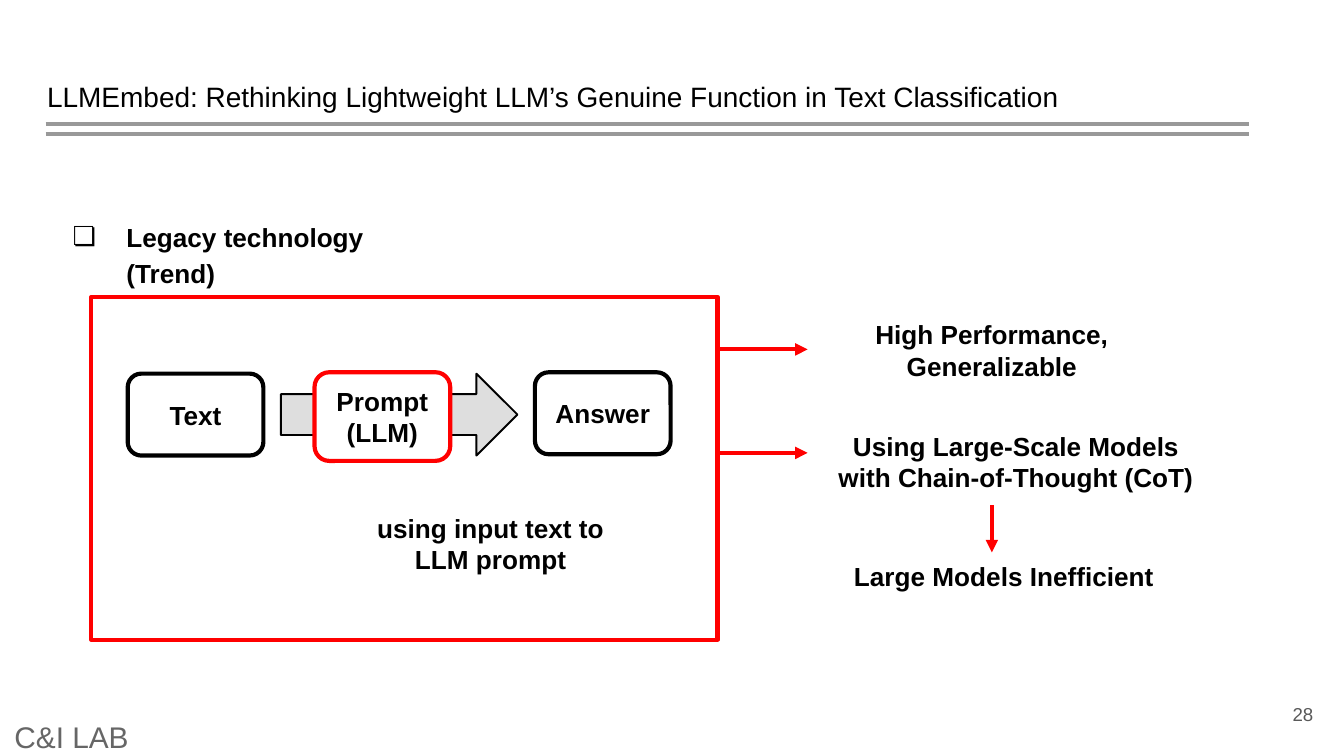
from lxml import etree
from pptx import Presentation
from pptx.dml.color import RGBColor
from pptx.enum.shapes import MSO_CONNECTOR as Connector, MSO_SHAPE as Shape
from pptx.enum.text import MSO_ANCHOR as Anchor, MSO_AUTO_SIZE as AutoSize, PP_ALIGN as Align
from pptx.oxml.ns import qn
from pptx.util import Inches, Pt

BLACK, RED, GREY = "000000", "FF0000", "999999"
RULE_WIDTH = 2.25


def color(value):
    return RGBColor.from_string(value)


def place(item, box):
    item.left, item.top, item.width, item.height = (Inches(v) for v in box)


def write(item, lines, size=14, bold=True, ink=BLACK, align=Align.CENTER,
          anchor=Anchor.MIDDLE, inset_x=0.1, inset_y=0.1):
    frame = item.text_frame
    frame.word_wrap = True
    frame.auto_size = AutoSize.NONE
    frame.vertical_anchor = anchor
    frame.margin_left = frame.margin_right = Inches(inset_x)
    frame.margin_top = frame.margin_bottom = Inches(inset_y)
    for index, line in enumerate(lines):
        para = frame.paragraphs[0] if index == 0 else frame.add_paragraph()
        para.alignment = align
        para.space_before = Pt(0)
        span = para.add_run()
        span.text = line
        span.font.name = "Arial"
        span.font.size = Pt(size)
        span.font.bold = bold
        span.font.color.rgb = color(ink)
    return frame


def add_bullet(para, symbol):
    props = para._p.get_or_add_pPr()
    props.set("marL", str(Inches(0.5)))
    props.set("indent", str(-Inches(0.4)))
    bullet_color = etree.SubElement(props, qn("a:buClr"))
    etree.SubElement(bullet_color, qn("a:srgbClr"), val=BLACK)
    etree.SubElement(props, qn("a:buFont"), typeface="Arial")
    etree.SubElement(props, qn("a:buChar"), char=symbol)


def add_block(page, kind, box, lines=(), fill=None, line=None, width=RULE_WIDTH):
    block = page.shapes.add_shape(kind, *(Inches(v) for v in box))
    block.shadow.inherit = False
    if fill:
        block.fill.solid()
        block.fill.fore_color.rgb = color(fill)
    else:
        block.fill.background()
    if line:
        block.line.color.rgb = color(line)
        block.line.width = Pt(width)
    else:
        block.line.fill.background()
    if lines:
        write(block, lines, inset_y=0.05)


def add_line(page, start, end, ink, arrow=False):
    points = (Inches(v) for v in (*start, *end))
    line = page.shapes.add_connector(Connector.STRAIGHT, *points)
    line.line.color.rgb = color(ink)
    line.line.width = Pt(RULE_WIDTH)
    if arrow:
        etree.SubElement(line.line._get_or_add_ln(), qn("a:tailEnd"), type="triangle")
    etree.SubElement(line._element.spPr, qn("a:effectLst"))


def add_label(page, box, lines, **style):
    label = page.shapes.add_textbox(*(Inches(v) for v in box))
    write(label, lines, **style)


def add_header(page, box):
    left, top, width, _ = box
    title = page.shapes.title
    place(title, box)
    write(title, ["LLMEmbed: Rethinking Lightweight LLM’s Genuine Function in Text Classification"],
          size=15, bold=False, align=Align.LEFT, anchor=Anchor.TOP)
    for offset in (0.43, 0.51):
        add_line(page, (left + 0.09, top + offset), (left + width - 0.28, top + offset), GREY)


def add_topic(page, box):
    body = page.placeholders[1]
    place(body, box)
    frame = write(body, ["Legacy technology (Trend)"], align=Align.LEFT, anchor=Anchor.TOP)
    para = frame.paragraphs[0]
    para.line_spacing = 1.15
    add_bullet(para, "❏")


def add_pipeline(page, box):
    left, top, _, _ = box
    row = top + 0.57
    step_width, step_height = 1.01, 0.61
    add_block(page, Shape.ROUNDED_RECTANGLE, (left + 0.27, row, step_width, step_height),
              ["Text"], line=BLACK)
    add_block(page, Shape.RIGHT_ARROW, (left + 1.41, row, 1.76, step_height),
              fill="DEDEDE", line=BLACK, width=1)
    add_block(page, Shape.ROUNDED_RECTANGLE, (left + 1.66, row - 0.01, step_width, 0.66),
              ["Prompt", "(LLM)"], fill="FFFFFF", line=RED)
    add_label(page, (left + 1.86, top + 1.55, 2.22, 0.57),
              ["using input text to LLM prompt"], anchor=Anchor.TOP, inset_y=0.05)
    add_block(page, Shape.ROUNDED_RECTANGLE, (left + 3.3, row - 0.01, step_width, step_height),
              ["Answer"], line=BLACK)
    add_block(page, Shape.RECTANGLE, box, line=RED)


def add_findings(page, box):
    left, top, _, _ = box
    for offset in (0.3, 1.07):
        add_line(page, (left, top + offset), (left + 0.67, top + offset), RED, arrow=True)
    findings = [
        (1, 0, 2.08, ["High Performance,", "Generalizable"]),
        (0.68, 0.83, 3.08, ["Using Large-Scale Models with Chain-of-Thought (CoT)"]),
        (0.77, 1.68, 2.72, ["Large Models Inefficient"]),
    ]
    for across, down, width, lines in findings:
        add_block(page, Shape.ROUNDED_RECTANGLE, (left + across, top + down, width, 0.61), lines)
    add_line(page, (left + 2.04, top + 1.46), (left + 2.04, top + 1.81), RED, arrow=True)


def add_footer(page, box):
    left, top, _, _ = box
    add_label(page, (left + 9.26, top - 0.24, 0.6, 0.43), ["28"],
              size=10, bold=False, ink="595959", align=Align.RIGHT)
    add_label(page, box, ["C&I LAB"], size=16, bold=False, ink="666666", align=Align.LEFT)


def main():
    deck = Presentation()
    deck.slide_width = Inches(10)
    deck.slide_height = deck.slide_width * 9 // 16
    page = deck.slides.add_slide(deck.slide_layouts[1])
    add_header(page, (0.25, 0.49, 9.32, 0.63))
    add_topic(page, (0.34, 1.51, 3.08, 0.63))
    add_pipeline(page, (0.68, 2.21, 4.66, 2.55))
    add_findings(page, (5.34, 2.3, 3.76, 2.29))
    add_footer(page, (0.01, 5.34, 10, 0.28))
    deck.save("out.pptx")


if __name__ == "__main__":
    main()
